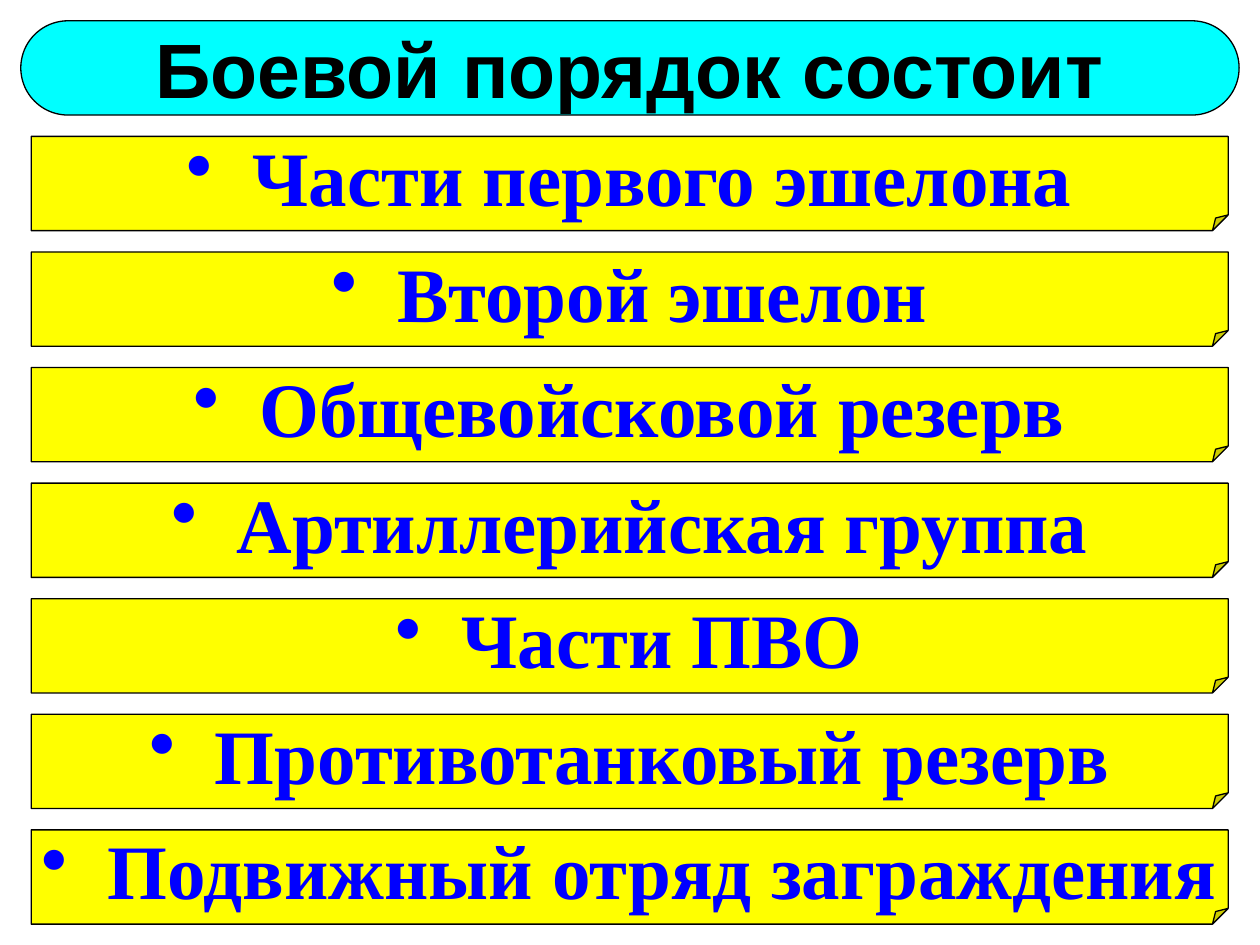
from lxml.etree import SubElement
from pptx import Presentation
from pptx.dml.color import RGBColor
from pptx.enum.shapes import MSO_SHAPE as Kind
from pptx.enum.text import MSO_ANCHOR as Anchor, PP_ALIGN as Align
from pptx.oxml.ns import qn
from pptx.util import Cm, Pt

CYAN = RGBColor(0x00, 0xFF, 0xFF)
YELLOW = RGBColor(0xFF, 0xFF, 0x00)
BLUE = RGBColor(0x00, 0x00, 0xFF)
BLACK = RGBColor(0x00, 0x00, 0x00)

TITLE = "Боевой порядок состоит"
PARTS = [
    "Части первого эшелона",
    "Второй эшелон",
    "Общевойсковой резерв",
    "Артиллерийская группа",
    "Части ПВО",
    "Противотанковый резерв",
    "Подвижный отряд заграждения",
]


def add_panel(slide, kind, box, fill):
    """Add a filled, thinly outlined shape."""
    panel = slide.shapes.add_shape(kind, *map(Cm, box))
    panel.shadow.inherit = False
    panel.fill.solid()
    panel.fill.fore_color.rgb = fill
    panel.line.color.rgb = BLACK
    panel.line.width = Pt(0.75)
    return panel


def write(shape, text, font, color):
    """Put one centred bold line into a shape."""
    frame = shape.text_frame
    frame.word_wrap = False
    frame.vertical_anchor = Anchor.MIDDLE
    para = frame.paragraphs[0]
    para.alignment = Align.CENTER
    para.line_spacing = 1.0
    para.space_before = Pt(0)
    run = para.add_run()
    run.text = text
    run.font.name = font
    run.font.size = Pt(44)
    run.font.bold = True
    run.font.color.rgb = color
    return para


def add_bullet(para, gap):
    """Give a paragraph a round bullet with a hanging indent."""
    props = para._p.get_or_add_pPr()
    props.set("marL", str(Cm(gap)))
    props.set("indent", str(-Cm(gap)))
    SubElement(props, qn("a:buChar"), char="•")


def add_head(slide, box):
    """Title placeholder on a rounded panel."""
    panel = add_panel(slide, Kind.ROUNDED_RECTANGLE, box, CYAN)
    panel.adjustments[0] = 0.5
    title = slide.shapes.title
    title.left, title.top, title.width, title.height = map(Cm, box)
    write(title, TITLE, "Arial", BLACK)
    # Bring the title in front of its panel
    panel.element.addnext(title.element)


def add_list(slide, box, step):
    """Column of folded notes, one for each part."""
    left, top, width, height = box
    for i, part in enumerate(PARTS):
        place = (left, top + i * step, width, height)
        note = add_panel(slide, Kind.FOLDED_CORNER, place, YELLOW)
        add_bullet(write(note, part, "Times New Roman", BLUE), 1.32)


def main():
    deck = Presentation()
    deck.slide_width, deck.slide_height = Cm(25.4), Cm(19.05)
    slide = deck.slides.add_slide(deck.slide_layouts[5])
    add_head(slide, (0.42, 0.42, 24.56, 1.9))
    add_list(slide, (0.63, 2.75, 24.13, 1.9), 2.33)
    deck.save("out.pptx")


if __name__ == "__main__":
    main()
